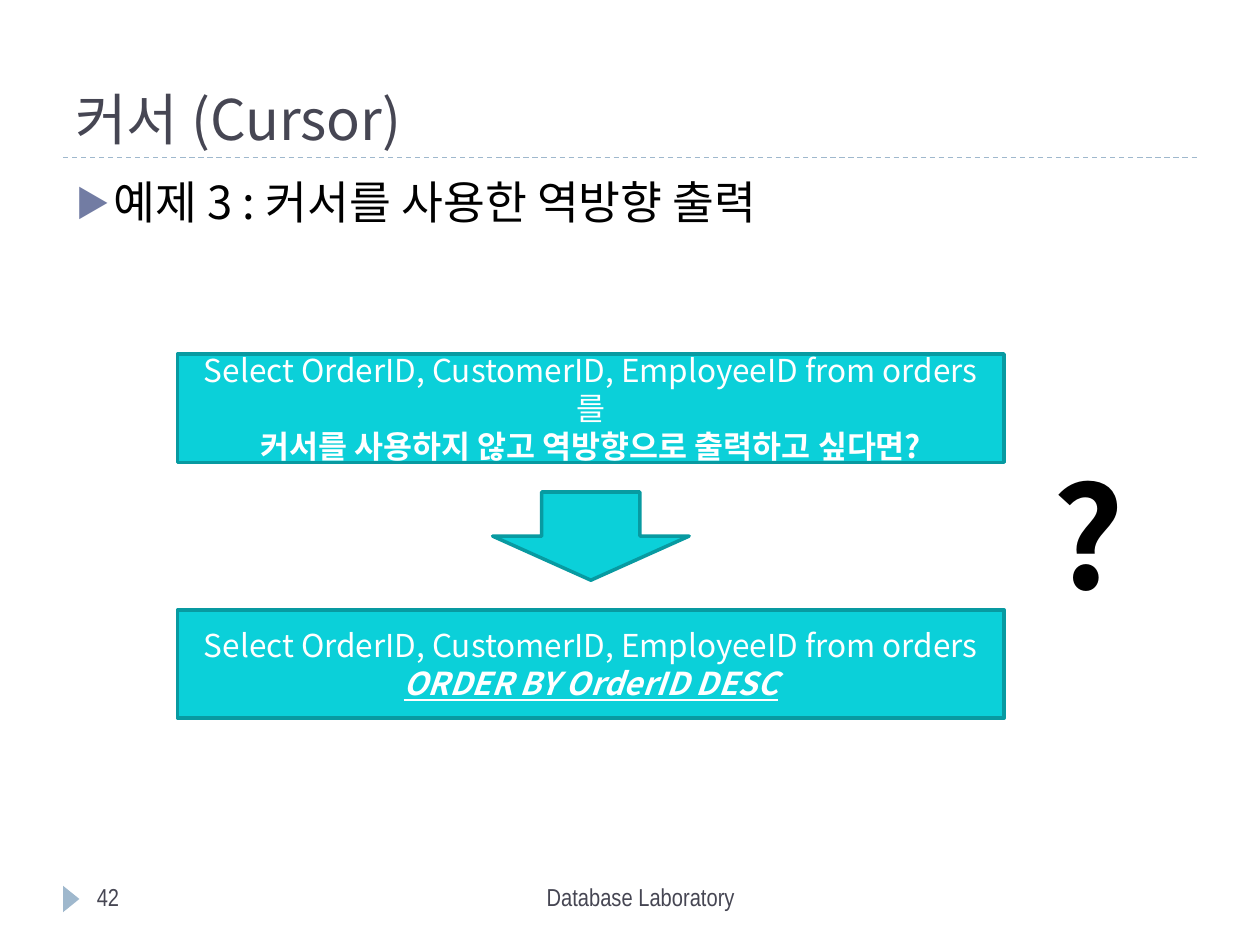
from dataclasses import dataclass
from typing import NamedTuple

from lxml import etree
from pptx import Presentation, util as u
from pptx.dml.color import RGBColor
from pptx.enum import dml, shapes, text
from pptx.oxml import ns

COLUMNS, ROWS = 100, 75


@dataclass(frozen=True)
class Theme:
    font: str = "Noto Sans CJK KR"
    footer_font: str = "Arial Narrow"
    heading: str = "464653"
    body: str = "000000"
    bullet: str = "727CA3"
    accent: str = "9FB8CD"
    box_fill: str = "0BD0D9"
    box_line: str = "089AA1"
    box_text: str = "FFFFFF"
    title_size: int = 32
    body_size: int = 26
    box_size: int = 18
    footer_size: int = 14
    mark_size: int = 80


class Box(NamedTuple):
    """Left, top, width and height in grid columns and rows."""
    left: float
    top: float
    width: float
    height: float


THEME = Theme()
presentation = Presentation()
presentation.slide_width, presentation.slide_height = u.Inches(10), u.Inches(7.5)
COLUMN = presentation.slide_width / COLUMNS
ROW = presentation.slide_height / ROWS


def place(box):
    return (round(box.left * COLUMN), round(box.top * ROW),
            round(box.width * COLUMN), round(box.height * ROW))


def add_run(paragraph, wording, size, color, font=THEME.font, **styles):
    run = paragraph.add_run()
    run.text = wording
    run.font.size = u.Pt(size)
    run.font.name = font
    run.font.color.rgb = RGBColor.from_string(color)
    for style, value in styles.items():
        setattr(run.font, style, value)
    east_asian = etree.SubElement(run.font._element, ns.qn("a:ea"))
    east_asian.set("typeface", font)


def add_text(slide, box, wording, size, color, font=THEME.font, bold=None,
             align=text.PP_ALIGN.LEFT, anchor=text.MSO_ANCHOR.TOP):
    frame = slide.shapes.add_textbox(*place(box)).text_frame
    frame.word_wrap = True
    frame.vertical_anchor = anchor
    paragraph = frame.paragraphs[0]
    paragraph.alignment = align
    add_run(paragraph, wording, size, color, font, bold=bold)
    return paragraph


def add_filled(slide, kind, box, fill, line=None):
    shape = slide.shapes.add_shape(kind, *place(box))
    shape.shadow.inherit = False
    shape.fill.solid()
    shape.fill.fore_color.rgb = RGBColor.from_string(fill)
    if line:
        shape.line.color.rgb = RGBColor.from_string(line)
        shape.line.width = u.Pt(2)
    else:
        shape.line.fill.background()
    return shape


def add_bullet(paragraph, indent):
    properties = paragraph._p.get_or_add_pPr()
    properties.set("marL", str(indent))
    properties.set("indent", str(-indent))
    color = etree.SubElement(properties, ns.qn("a:buClr"))
    etree.SubElement(color, ns.qn("a:srgbClr")).set("val", THEME.bullet)
    etree.SubElement(properties, ns.qn("a:buSzPct")).set("val", "76000")
    etree.SubElement(properties, ns.qn("a:buFont")).set("typeface", THEME.font)
    etree.SubElement(properties, ns.qn("a:buChar")).set("char", "▶")


def add_header(slide, box):
    """Title resting on a dashed rule along the bottom of the box."""
    add_text(slide, box, "커서 (Cursor)", THEME.title_size, THEME.heading,
             anchor=text.MSO_ANCHOR.BOTTOM)
    left, top, width, height = place(box)
    rule = slide.shapes.add_connector(shapes.MSO_CONNECTOR.STRAIGHT,
                                      left, top + height, left + width, top + height)
    rule.line.color.rgb = RGBColor.from_string(THEME.accent)
    rule.line.width = u.Pt(0.75)
    rule.line.dash_style = dml.MSO_LINE.DASH
    etree.SubElement(rule._element.spPr, ns.qn("a:effectLst"))


def add_body(slide, box):
    paragraph = add_text(slide, box, "예제 3 : 커서를 사용한 역방향 출력",
                         THEME.body_size, THEME.body)
    paragraph.space_before = u.Pt(6)
    add_bullet(paragraph, round(3 * COLUMN))


def add_statement(slide, box, paragraphs):
    """Rectangle with centred paragraphs, each a list of (wording, styles)."""
    shape = add_filled(slide, shapes.MSO_SHAPE.RECTANGLE, box,
                       THEME.box_fill, THEME.box_line)
    frame = shape.text_frame
    frame.word_wrap = True
    frame.vertical_anchor = text.MSO_ANCHOR.MIDDLE
    for index, runs in enumerate(paragraphs):
        paragraph = frame.add_paragraph() if index else frame.paragraphs[0]
        paragraph.alignment = text.PP_ALIGN.CENTER
        for wording, styles in runs:
            add_run(paragraph, wording, THEME.box_size, THEME.box_text, **styles)


def add_flow(slide, box):
    """Question at the top, answer at the bottom, arrow centred between."""
    query = "Select OrderID, CustomerID, EmployeeID from orders"
    height, arrow_width, arrow_height = 8.6, 15.6, 7
    question = [[(query + "를", {})],
                [("커서를 사용하지 않고 역방향으로 출력하고 싶다면?", {"bold": True})]]
    answer = [[(query + " ", {}),
               ("ORDER BY OrderID DESC",
                {"bold": True, "italic": True, "underline": True})]]
    add_statement(slide, box._replace(height=height), question)
    add_statement(slide, box._replace(top=box.top + box.height - height,
                                      height=height), answer)
    arrow = Box(box.left + (box.width - arrow_width) / 2,
                box.top + (box.height - arrow_height) / 2, arrow_width, arrow_height)
    add_filled(slide, shapes.MSO_SHAPE.DOWN_ARROW, arrow,
               THEME.box_fill, THEME.box_line)


def add_question_mark(slide, box):
    add_text(slide, box, "?", THEME.mark_size, THEME.body, bold=True,
             align=text.PP_ALIGN.CENTER)


def add_footer(slide, box):
    marker = add_filled(slide, shapes.MSO_SHAPE.ISOSCELES_TRIANGLE,
                        Box(box.left - 0.4, box.top + 1.2, 2.1, 1.3), THEME.accent)
    marker.rotation = 90
    style = (THEME.footer_size, THEME.heading, THEME.footer_font)
    add_text(slide, Box(box.left + 26.7, box.top, 38.3, box.height),
             "Database Laboratory", *style, align=text.PP_ALIGN.CENTER)
    add_text(slide, Box(box.left + 1.7, box.top, 21.7, box.height), "42", *style)


def main():
    slide = presentation.slides.add_slide(presentation.slide_layouts[6])
    add_header(slide, Box(5, 1.7, 90, 10.8))
    add_body(slide, Box(5, 13.3, 90, 54))
    add_flow(slide, Box(14.1, 28.1, 65.6, 28.9))
    add_question_mark(slide, Box(81.3, 35.2, 10.2, 14.5))
    add_footer(slide, Box(5, 69.5, 90, 4))
    presentation.save("out.pptx")


if __name__ == "__main__":
    main()
